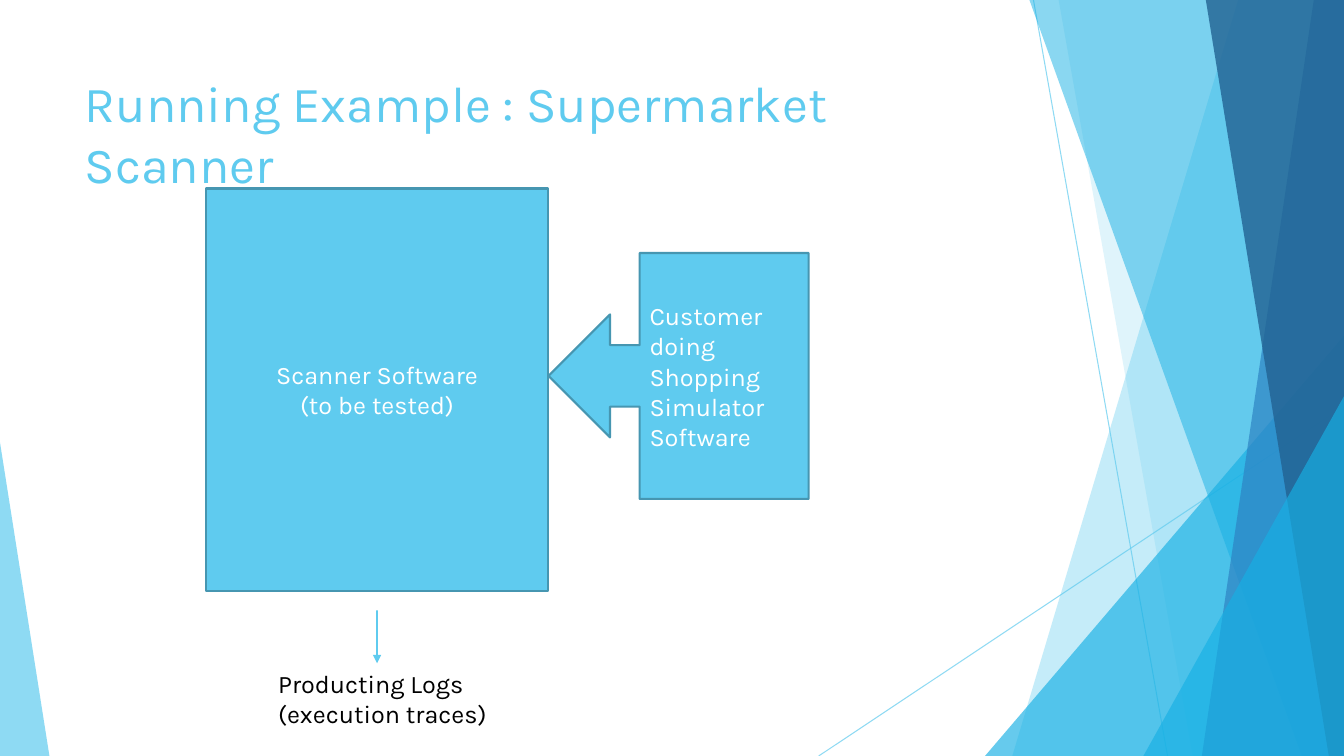
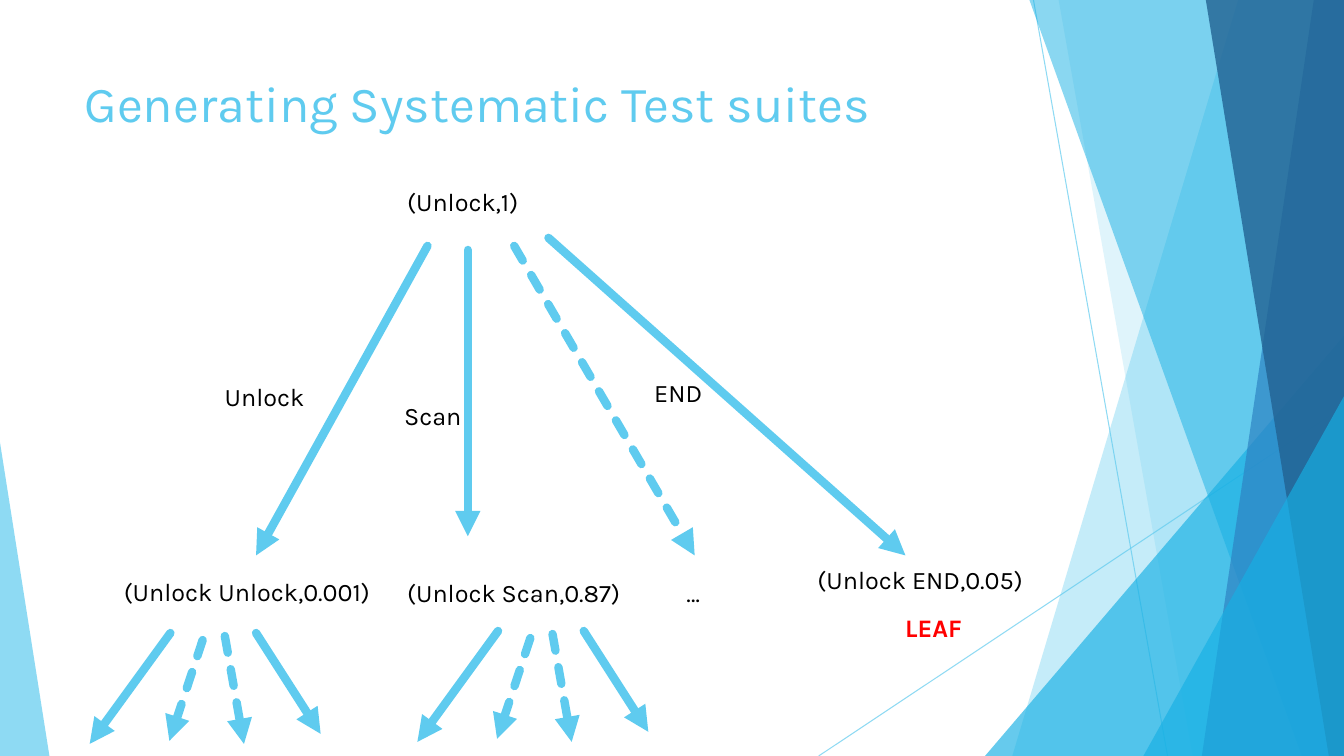
"""Build two slides on testing a supermarket scanner."""
from lxml import etree
from pptx import Presentation
from pptx.dml.color import RGBColor
from pptx.enum.dml import MSO_LINE
from pptx.enum.shapes import MSO_CONNECTOR, MSO_SHAPE
from pptx.enum.text import MSO_ANCHOR, MSO_AUTO_SIZE, PP_ALIGN
from pptx.oxml.ns import qn
from pptx.util import Inches, Pt

STRAIGHT = MSO_CONNECTOR.STRAIGHT
TRIANGLE = MSO_SHAPE.ISOSCELES_TRIANGLE
RECT = MSO_SHAPE.RECTANGLE
CALLOUT = MSO_SHAPE.LEFT_ARROW_CALLOUT
DASH = MSO_LINE.SQUARE_DOT
LEFT, CENTER = PP_ALIGN.LEFT, PP_ALIGN.CENTER
TOP, MIDDLE = MSO_ANCHOR.TOP, MSO_ANCHOR.MIDDLE
NO_FIT = MSO_AUTO_SIZE.NONE

FONT = "Karla"
W, H = 13.33, 7.5
COLORS = {
    "sky": "5FCBEF", "cyan": "17B0E4", "blue": "2E83C3", "navy": "226292",
    "edge": "4696B1", "white": "FFFFFF", "black": "000000", "red": "FF0000",
}

TITLE_BOX = (0.74, 0.67, 9.4, 1.44)
DECOR_LINES = [(10.25, 0, 11.58, H), (W, 4.03, 8.12, H)]
DECOR_SHAPES = [
    ("band", "sky", 36, (12.28, 10.04)),
    ("band", "sky", 20, (10.5, 11.83)),
    ("corner", "cyan", 66, (9.77, 3.33, 3.56, 1)),
    ("band", "cyan", 50, (10.21, 12.91)),
    ("band", "blue", 70, (13.03, 11.92)),
    ("band", "navy", 80, (11.96, 13.18)),
    ("corner", "cyan", 66, (11.34, 3.93, 1.99, 1)),
    ("corner", "sky", 70, (0, 4.39, 0.49, 0)),
]

SCANNER_TITLE = "Running Example : Supermarket Scanner"
SCANNER_BOXES = [
    (CALLOUT, (5.44, 2.51, 2.58, 2.44), ["Customer doing Shopping Simulator Software"], LEFT),
    (RECT, (2.04, 1.87, 3.4, 3.99), ["Scanner Software", "(to be tested)"], CENTER),
]
LOGS_ARROW = (3.74, 6.06, 3.74, 6.58)
LOGS_LABEL = ("Producting Logs (execution traces)", (2.66, 6.58, 2.58, 0.71))

TREE_TITLE = "Generating Systematic Test suites"
TREE_LABELS = [
    ("(Unlock,1)", (3.94, 1.8, 1.6, 0.4)),
    ("(Unlock Unlock,0.001)", (1.13, 5.67, 3.2, 0.4)),
    ("(Unlock Scan,0.87)", (3.94, 5.68, 2.7, 0.4)),
    ("…", (6.71, 5.68, 0.69, 0.4)),
    ("(Unlock END,0.05)", (8.01, 5.55, 2.7, 0.4)),
    ("Unlock", (2.13, 3.73, 1.28, 0.4)),
    ("Scan", (3.91, 3.92, 1.28, 0.4)),
    ("END", (6.39, 3.69, 1.28, 0.4)),
]
LEAF_LABEL = ("LEAF", (8.88, 6.03, 1.68, 0.4))
ROOT_ARROWS = [
    ((4.24, 2.44, 2.54, 5.51), False),
    ((4.64, 2.48, 4.64, 5.32), False),
    ((5.1, 2.44, 6.89, 5.51), True),
    ((5.44, 2.36, 8.98, 5.51), False),
]
FAN_ARROWS = [
    ((1.69, 6.28, 0.89, 7.38), False),
    ((2.01, 6.35, 1.68, 7.35), True),
    ((2.23, 6.31, 2.42, 7.38), True),
    ((2.54, 6.28, 3.18, 7.28), False),
]
FAN_OFFSETS = [(0, 0), (3.25, -0.02)]


def rgb(name):
    return RGBColor.from_string(COLORS[name])


def inches(values):
    return [Inches(v) for v in values]


def set_alpha(el, percent):
    color = next(el.iter(qn("a:srgbClr")))
    etree.SubElement(color, qn("a:alpha"), val=str(percent * 1000))


def fill_shape(sp, color):
    sp.shadow.inherit = False
    sp.fill.solid()
    sp.fill.fore_color.rgb = rgb(color)
    sp.line.fill.background()


def add_line(s, ends, width):
    cn = s.shapes.add_connector(STRAIGHT, *inches(ends))
    cn.line.color.rgb = rgb("sky")
    cn.line.width = Pt(width)
    etree.SubElement(cn.element.spPr, qn("a:effectLst"))
    return cn


def add_arrow(s, ends, width=6, dashed=False):
    cn = add_line(s, ends, width)
    if dashed:
        cn.line.dash_style = DASH
    ln = cn.element.spPr.find(qn("a:ln"))
    ln.set("cap", "rnd")
    etree.SubElement(ln, qn("a:round"))
    etree.SubElement(ln, qn("a:tailEnd"), type="triangle")


def write(tf, lines, size=18, color="black", align=LEFT, bold=False):
    tf.word_wrap = True
    for i, text in enumerate(lines):
        p = tf.add_paragraph() if i else tf.paragraphs[0]
        p.alignment = align
        r = p.add_run()
        r.text = text
        r.font.name = FONT
        r.font.size = Pt(size)
        r.font.bold = bold
        r.font.color.rgb = rgb(color)


def add_label(s, text, box, **style):
    write(s.shapes.add_textbox(*inches(box)).text_frame, [text], **style)


def add_box(s, kind, box, lines, align):
    sp = s.shapes.add_shape(kind, *inches(box))
    fill_shape(sp, "sky")
    sp.line.color.rgb = rgb("edge")
    sp.line.width = Pt(1.5)
    sp.text_frame.vertical_anchor = MIDDLE
    write(sp.text_frame, lines, color="white", align=align)


def add_band(s, top_x, bottom_x):
    corners = [(W, 0), (W, H), (bottom_x, H)]
    fb = s.shapes.build_freeform(Inches(top_x), Inches(0))
    fb.add_line_segments([inches(c) for c in corners], close=True)
    return fb.convert_to_shape()


def add_corner(s, left, top, width, apex):
    sp = s.shapes.add_shape(TRIANGLE, *inches((left, top, width, H - top)))
    sp.adjustments[0] = apex
    return sp


def draw_decor(s):
    for ends in DECOR_LINES:
        cn = add_line(s, ends, 0.75)
        set_alpha(cn.element, 70)
        yield cn
    draw = {"band": add_band, "corner": add_corner}
    for kind, color, opacity, geometry in DECOR_SHAPES:
        sp = draw[kind](s, *geometry)
        fill_shape(sp, color)
        set_alpha(sp.element.spPr, opacity)
        yield sp


def set_up_layout(layout, s):
    for ph in list(layout.placeholders):
        if ph.placeholder_format.idx:
            ph.element.getparent().remove(ph.element)
    title = layout.placeholders[0]
    title.left, title.top, title.width, title.height = inches(TITLE_BOX)
    title.text_frame.vertical_anchor = TOP
    title.text_frame.auto_size = NO_FIT
    for sp in list(draw_decor(s)):
        layout.shapes.element.append(sp.element)


def add_title(s, text):
    write(s.shapes.title.text_frame, [text], size=36, color="sky")


def build_scanner(s):
    add_title(s, SCANNER_TITLE)
    for box in SCANNER_BOXES:
        add_box(s, *box)
    add_arrow(s, LOGS_ARROW, width=1)
    add_label(s, *LOGS_LABEL)


def build_tree(s):
    add_title(s, TREE_TITLE)
    for ends, dashed in ROOT_ARROWS:
        add_arrow(s, ends, dashed=dashed)
    for dx, dy in FAN_OFFSETS:
        for (x1, y1, x2, y2), dashed in FAN_ARROWS:
            add_arrow(s, (x1 + dx, y1 + dy, x2 + dx, y2 + dy), dashed=dashed)
    for text, box in TREE_LABELS:
        add_label(s, text, box)
    add_label(s, *LEAF_LABEL, color="red", bold=True)


def main():
    prs = Presentation()
    prs.slide_width, prs.slide_height = inches((W, H))
    layout = prs.slide_layouts[5]
    scanner, tree = [prs.slides.add_slide(layout) for _ in range(2)]
    set_up_layout(layout, scanner)
    build_scanner(scanner)
    build_tree(tree)
    prs.save("out.pptx")


if __name__ == "__main__":
    main()
